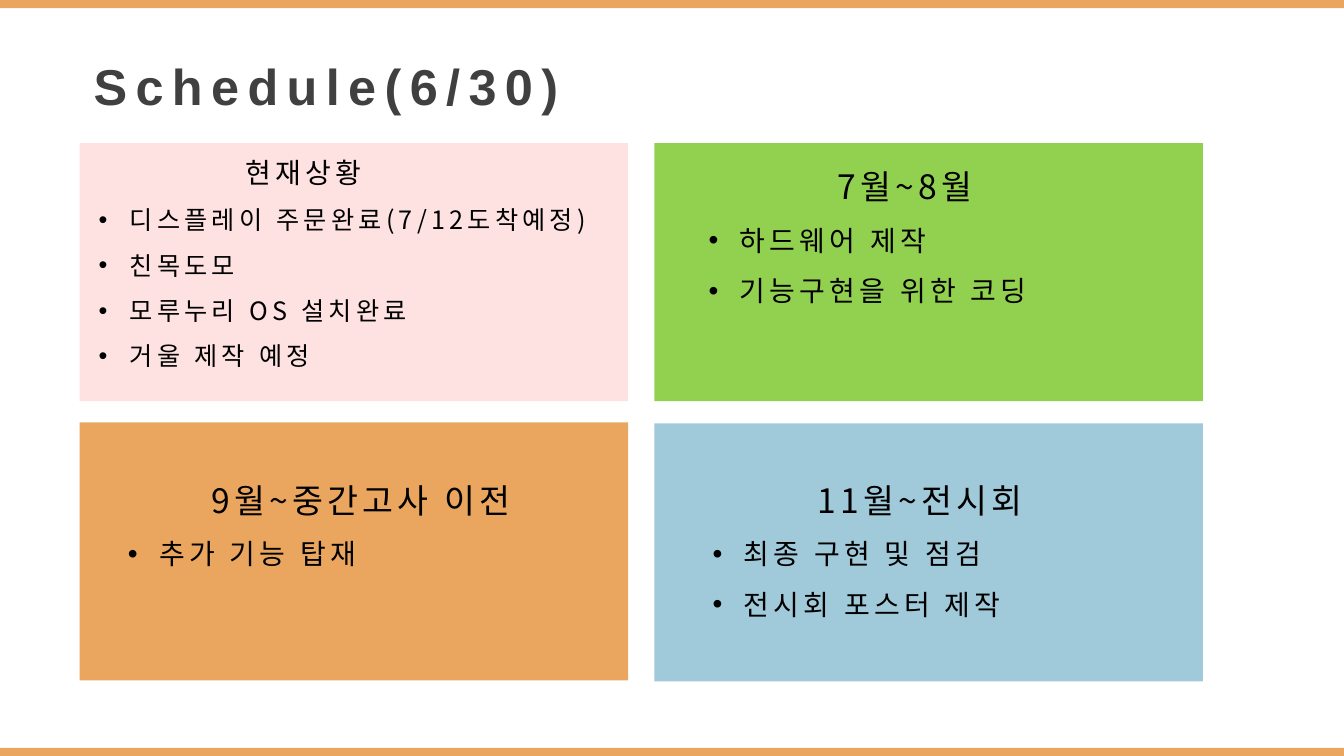
from lxml import etree
from pptx import Presentation
from pptx import util as u
from pptx.dml.color import RGBColor
from pptx.enum import shapes, text
from pptx.oxml import ns

ORANGE = RGBColor(0xEA, 0xA6, 0x5F)
PINK = RGBColor(0xFE, 0xE2, 0xE2)
GREEN = RGBColor(0x92, 0xD0, 0x50)
BLUE = RGBColor(0xA0, 0xC9, 0xD9)
DARK = RGBColor(0x40, 0x40, 0x40)
BLACK = RGBColor(0, 0, 0)

LATIN = "Arial"
KOREAN = "Noto Sans CJK KR"
SLIDE_WIDTH, SLIDE_HEIGHT, BAR_HEIGHT = 13.33, 7.5, 0.08
PANEL_WIDTH, PANEL_HEIGHT = 5.44, 2.56
HANGING = 0.31

# Panel place and colour, text place, heading with size and indent, bullets with size
PANELS = [
    ((0.79, 1.42), PINK, (0.88, 1.33, 5.34, 2.86), ("현재상황", 20, 1.46),
     ["디스플레이 주문완료(7/12도착예정)", "친목도모", "모루누리 OS 설치완료", "거울 제작 예정"], 18),
    ((6.49, 1.42), GREEN, (6.93, 1.4, 4.97, 2.03), ("7월~8월", 24, 1.28),
     ["하드웨어 제작", "기능구현을 위한 코딩"], 20),
    ((0.79, 4.19), ORANGE, (1.17, 4.51, 4.39, 1.43), ("9월~중간고사 이전", 24, 0.83),
     ["추가 기능 탑재"], 20),
    ((6.49, 4.2), BLUE, (6.97, 4.51, 3.62, 2.03), ("11월~전시회", 24, 1.04),
     ["최종 구현 및 점검", "전시회 포스터 제작"], 20),
]


def add_rectangle(parent, place, color):
    box = parent.add_shape(shapes.MSO_SHAPE.RECTANGLE, *map(u.Inches, place))
    box.shadow.inherit = False
    box.fill.solid()
    box.fill.fore_color.rgb = color
    box.line.fill.background()


def add_text_frame(parent, place):
    frame = parent.add_textbox(*map(u.Inches, place)).text_frame
    frame.word_wrap = True
    frame.auto_size = text.MSO_AUTO_SIZE.SHAPE_TO_FIT_TEXT
    return frame


def write_line(para, words, size, color, font, spacing, bold=False):
    span = para.add_run()
    span.text = words
    formats = {"size": u.Pt(size), "name": font, "bold": bold}
    for name, value in formats.items():
        setattr(span.font, name, value)
    span.font.color.rgb = color
    properties = span._r.get_or_add_rPr()
    properties.set("spc", str(spacing * 100))
    etree.SubElement(properties, ns.qn("a:ea")).set("typeface", font)


def set_indent(para, margin, first=0):
    properties = para._p.get_or_add_pPr()
    properties.set("marL", str(u.Inches(margin)))
    properties.set("indent", str(u.Inches(first)))
    return properties


def add_bullet(para):
    properties = set_indent(para, HANGING, -HANGING)
    etree.SubElement(properties, ns.qn("a:buFont")).set("typeface", LATIN)
    etree.SubElement(properties, ns.qn("a:buChar")).set("char", "•")


def add_schedule(parent, place, heading, items, item_size):
    frame = add_text_frame(parent, place)
    words, size, indent = heading
    para = frame.paragraphs[0]
    para.line_spacing = 1.5
    set_indent(para, indent)
    write_line(para, words, size, BLACK, KOREAN, 3)
    for item in items:
        para = frame.add_paragraph()
        para.line_spacing = 1.5
        add_bullet(para)
        write_line(para, item, item_size, BLACK, KOREAN, 3)


def main():
    deck = Presentation()
    deck.slide_width = u.Inches(SLIDE_WIDTH)
    deck.slide_height = u.Inches(SLIDE_HEIGHT)
    page = deck.slides.add_slide(deck.slide_layouts[6])

    # Bars along the top and bottom edges
    for top in (0, SLIDE_HEIGHT - BAR_HEIGHT):
        add_rectangle(page.shapes, (0, top, SLIDE_WIDTH, BAR_HEIGHT), ORANGE)

    # Title
    title = add_text_frame(page.shapes, (0.61, 0.5, 5.44, 0.71)).paragraphs[0]
    set_indent(title, 0.22)
    write_line(title, "Schedule(6/30)", 36, DARK, LATIN, 6, bold=True)

    # Schedule panels, then their text
    group = page.shapes.add_group_shape().shapes
    for corner, color, *_ in PANELS:
        add_rectangle(group, (*corner, PANEL_WIDTH, PANEL_HEIGHT), color)
    for _, _, place, heading, items, item_size in PANELS:
        add_schedule(group, place, heading, items, item_size)

    deck.save("out.pptx")


if __name__ == "__main__":
    main()
